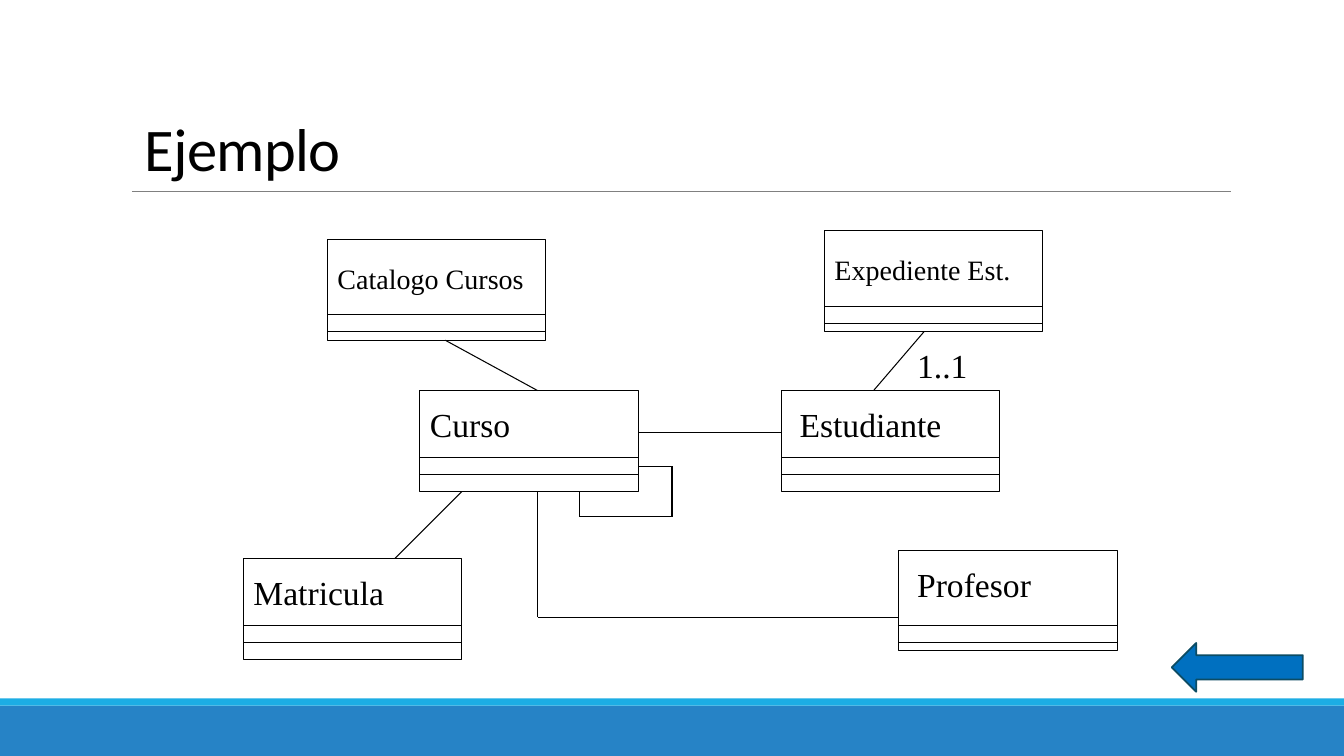
import dataclasses
import itertools

import pptx
import pptx.dml.color
import pptx.enum.shapes
import pptx.enum.text
import pptx.oxml.xmlchemy
import pptx.util

RGB = pptx.dml.color.RGBColor.from_string
SHAPES = pptx.enum.shapes.MSO_SHAPE
COLUMNS, ROWS = 160, 90
CLASS_WIDTH, CLASS_HEIGHT = 26, 12
COMPARTMENT = 2


@dataclasses.dataclass(frozen=True)
class Theme:
    ink: str = "000000"
    paper: str = "FFFFFF"
    rule: str = "808080"
    band: str = "2683C6"
    accent: str = "1CADE4"
    arrow: str = "0070C0"
    arrow_edge: str = "0C4C64"
    title_font: str = "Calibri"
    diagram_font: str = "Times New Roman"
    title_size: float = 43.2
    large: float = 24
    small: float = 20
    hairline: float = 0.5
    thin: float = 0.75
    medium: float = 1.25


THEME = Theme()


@dataclasses.dataclass(frozen=True)
class UmlClass:
    name: str
    column: float
    row: float
    header: float = 8
    size: float = THEME.large
    indent: float = 0
    drop: float = 1


@dataclasses.dataclass(frozen=True)
class Association:
    points: tuple[tuple[float, float], ...]


@dataclasses.dataclass(frozen=True)
class Block:
    kind: int
    area: tuple[float, float, float, float]
    fill: str
    edge: str | None = None
    weight: float = 0


CLASSES = (
    UmlClass("Catalogo Cursos", 39, 28.5, header=9, size=THEME.small, drop=2),
    UmlClass("Curso", 50, 46.5),
    UmlClass("Estudiante", 93, 46.5, indent=1),
    UmlClass("Matricula", 29, 66.5),
    UmlClass("Profesor", 107, 65.5, header=9, indent=1),
    UmlClass("Expediente Est.", 98.16, 27.5, header=9, size=THEME.small, drop=2),
)

ASSOCIATIONS = (
    Association(((110, 39.5), (104, 46.5))),
    Association(((76, 51.5), (93, 51.5))),
    Association(((76, 55.5), (80, 55.5), (80, 61.5), (69, 61.5), (69, 58.5))),
    Association(((55, 58.5), (47, 66.5))),
    Association(((64, 46.5), (53, 40.5))),
    Association(((64, 58.5), (64, 73.5), (107, 73.5))),
)

FOOTER = (
    Block(SHAPES.RECTANGLE, (0, 84, COLUMNS, 6), THEME.band),
    Block(SHAPES.RECTANGLE, (0, 83.15, COLUMNS, 0.85), THEME.accent),
)
BACK_ARROW = Block(SHAPES.LEFT_ARROW, (139.5, 76.55, 15.6, 5.8),
                   THEME.arrow, THEME.arrow_edge, THEME.medium)

deck = pptx.Presentation()
deck.slide_width = pptx.util.Inches(13.33)
deck.slide_height = pptx.util.Inches(7.5)
slide = deck.slides.add_slide(deck.slide_layouts[5])


def x(column: float) -> int:
    return round(deck.slide_width * column / COLUMNS)


def y(row: float) -> int:
    return round(deck.slide_height * row / ROWS)


def place(column: float, row: float, width: float, height: float) -> tuple[int, int, int, int]:
    return x(column), y(row), x(width), y(height)


def draw_block(block: Block) -> None:
    shape = slide.shapes.add_shape(block.kind, *place(*block.area))
    shape.shadow.inherit = False
    shape.fill.solid()
    shape.fill.fore_color.rgb = RGB(block.fill)
    if block.edge is None:
        shape.line.fill.background()
    else:
        shape.line.color.rgb = RGB(block.edge)
        shape.line.width = pptx.util.Pt(block.weight)


def draw_line(start: tuple[float, float], end: tuple[float, float],
              color: str = THEME.ink, weight: float = THEME.thin) -> None:
    line = slide.shapes.add_connector(
        pptx.enum.shapes.MSO_CONNECTOR.STRAIGHT,
        x(start[0]), y(start[1]), x(end[0]), y(end[1]))
    line.line.color.rgb = RGB(color)
    line.line.width = pptx.util.Pt(weight)
    line._element.spPr.append(pptx.oxml.xmlchemy.OxmlElement("a:effectLst"))


def write(paragraph, words: str, font: str, size: float):
    run = paragraph.add_run()
    run.text = words
    run.font.name = font
    run.font.size = pptx.util.Pt(size)
    run.font.color.rgb = RGB(THEME.ink)
    return run


def draw_label(words: str, column: float, row: float, width: float, size: float) -> None:
    label = slide.shapes.add_textbox(*place(column, row, width, size / 4))
    label.text_frame.word_wrap = True
    label.text_frame.auto_size = pptx.enum.text.MSO_AUTO_SIZE.SHAPE_TO_FIT_TEXT
    write(label.text_frame.paragraphs[0], words, THEME.diagram_font, size)


def draw_class(uml: UmlClass) -> None:
    draw_block(Block(SHAPES.RECTANGLE, (uml.column, uml.row, CLASS_WIDTH, CLASS_HEIGHT),
                     THEME.paper, THEME.ink, THEME.thin))
    for offset in (uml.header, uml.header + COMPARTMENT):
        row = uml.row + offset
        draw_line((uml.column, row), (uml.column + CLASS_WIDTH, row))
    draw_label(uml.name, uml.column + uml.indent, uml.row + uml.drop,
               CLASS_WIDTH - 1 - uml.indent, uml.size)


def draw_title(words: str) -> None:
    title = slide.shapes.title
    title.left, title.top, title.width, title.height = place(16, 15.5, 102, 7)
    frame = title.text_frame
    frame.auto_size = pptx.enum.text.MSO_AUTO_SIZE.NONE
    frame.vertical_anchor = pptx.enum.text.MSO_ANCHOR.BOTTOM
    heading = frame.paragraphs[0]
    heading.alignment = pptx.enum.text.PP_ALIGN.LEFT
    heading.line_spacing = 0.85
    run = write(heading, words, THEME.title_font, THEME.title_size)
    run._r.get_or_add_rPr().set("spc", "-50")


def main() -> None:
    for block in FOOTER:
        draw_block(block)
    draw_line((15.7, 22.8), (146.5, 22.8), THEME.rule, THEME.hairline)
    draw_title("Ejemplo")
    for uml in CLASSES:
        draw_class(uml)
    for association in ASSOCIATIONS:
        for start, end in itertools.pairwise(association.points):
            draw_line(start, end)
    draw_label("1..1", 108, 40.5, 15, THEME.large)
    draw_block(BACK_ARROW)
    deck.save("out.pptx")


if __name__ == "__main__":
    main()
